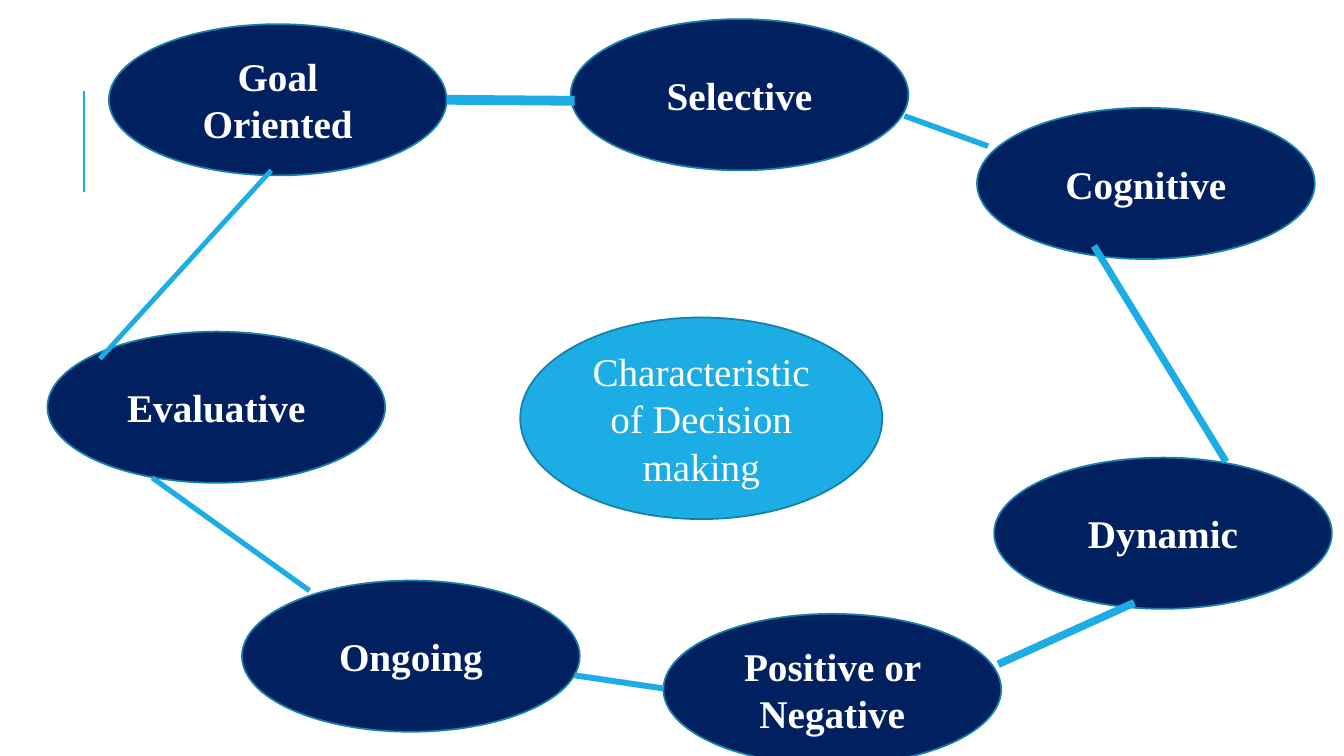
from lxml import etree
from pptx import Presentation
from pptx.dml.color import RGBColor
from pptx.enum.shapes import MSO_CONNECTOR, MSO_SHAPE
from pptx.enum.text import MSO_ANCHOR, PP_ALIGN
from pptx.oxml.ns import qn
from pptx.util import Inches, Pt

NAVY, SKY, EDGE, WHITE = "002060", "1CADE4", "1580A9", "FFFFFF"
FONT = "Times New Roman"
NODE_SIZE = (3.35, 1.5)

# text, left, top: clockwise around the ring
NODES = [
    ("Goal Oriented", 1.08, 0.24),
    ("Selective", 5.66, 0.19),
    ("Cognitive", 9.69, 1.07),
    ("Dynamic", 9.86, 4.54),
    ("Positive or Negative", 6.58, 6.09),
    ("Ongoing", 2.4, 5.76),
    ("Evaluative", 0.47, 3.29),
]

# start, end, width in points: each joins a node to the next
LINKS = [
    ((4.43, 0.99), (5.7, 1), 7),
    ((8.97, 1.15), (9.8, 1.45), 4),
    ((10.85, 2.44), (12.16, 4.58), 5),
    ((11.25, 5.98), (9.9, 6.59), 5.5),
    ((6.58, 6.83), (5.7, 6.7), 4.25),
    ((3.07, 5.86), (1.51, 4.74), 3.75),
    ((0.99, 3.56), (2.69, 1.69), 3.5),
]


def rgb(value):
    return RGBColor.from_string(value)


def add_line(s, start, end, width):
    line = s.shapes.add_connector(
        MSO_CONNECTOR.STRAIGHT, *(Inches(v) for v in (*start, *end)))
    line.line.color.rgb = rgb(SKY)
    line.line.width = Pt(width)
    etree.SubElement(line._element.spPr, qn("a:effectLst"))


def add_ellipse(s, text, box, fill, bold):
    sp = s.shapes.add_shape(MSO_SHAPE.OVAL, *(Inches(v) for v in box))
    sp.shadow.inherit = False
    sp.fill.solid()
    sp.fill.fore_color.rgb = rgb(fill)
    sp.line.color.rgb = rgb(EDGE)
    sp.line.width = Pt(1.25)
    tf = sp.text_frame
    tf.word_wrap = True
    tf.vertical_anchor = MSO_ANCHOR.MIDDLE
    p = tf.paragraphs[0]
    p.text = text
    p.alignment = PP_ALIGN.CENTER
    p.font.name = FONT
    p.font.size = Pt(28)
    p.font.bold = bold
    p.font.color.rgb = rgb(WHITE)


def add_ring(s):
    for text, left, top in NODES:
        add_ellipse(s, text, (left, top, *NODE_SIZE), NAVY, True)
    for start, end, width in LINKS:
        add_line(s, start, end, width)


def main():
    prs = Presentation()
    prs.slide_width, prs.slide_height = Inches(13.33), Inches(7.5)
    s = prs.slides.add_slide(prs.slide_layouts[6])
    add_line(s, (0.83, 1.9), (0.83, 0.9), 1.5)
    add_ellipse(s, "Characteristic of Decision making",
                (5.16, 3.15, 3.59, 2), SKY, False)
    add_ring(s)
    prs.save("out.pptx")


if __name__ == "__main__":
    main()
